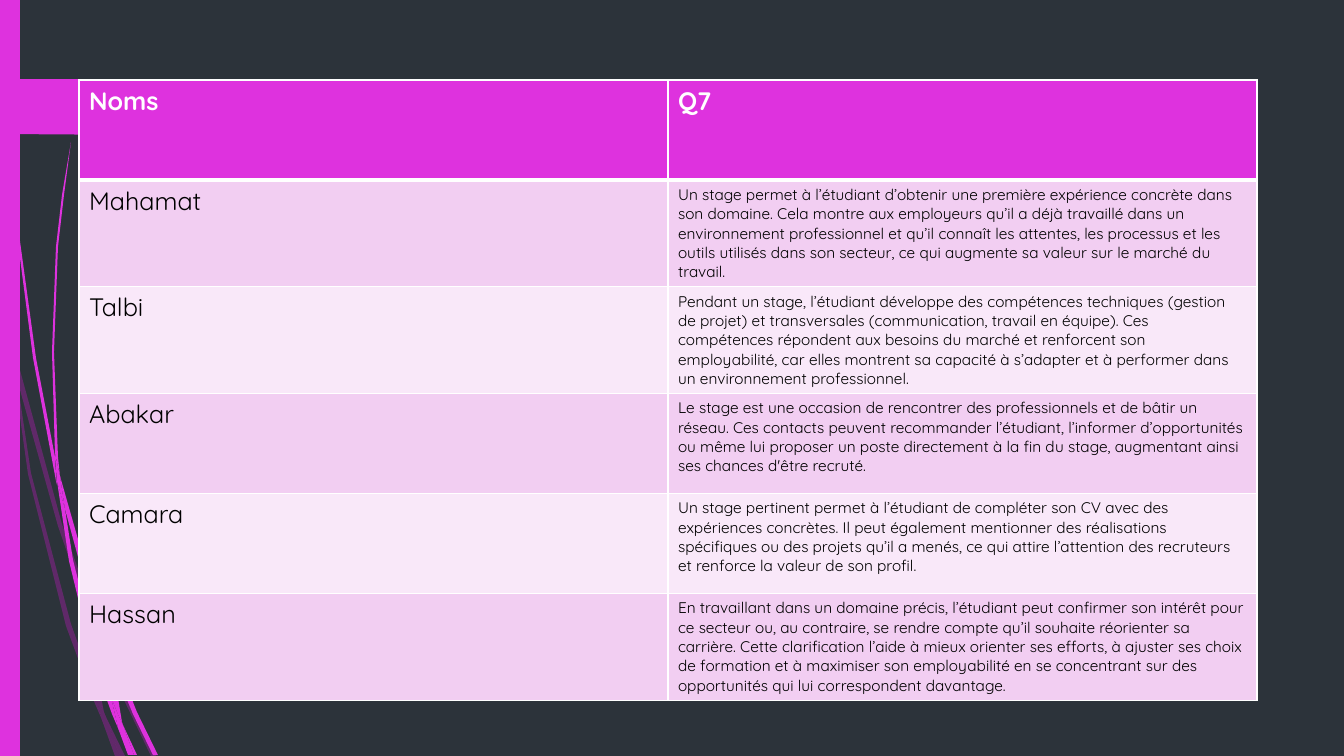
import pptx
import pptx.dml.color
import pptx.enum.shapes
import pptx.oxml
import pptx.oxml.ns
import pptx.util

PX = 12192000 / 1344
FONT = "Quicksand"
COLORS = {
    "background": "2C333A",
    "accent": "DE32DE",
    "shade": "B01CB0",
    "odd_row": "F2CEF2",
    "even_row": "F9E8F9",
    "white": "FFFFFF",
    "black": "000000",
}

SHADED_WISPS = [
    [(11, 353), (9, 325), (0, 284), (0, 301), (10, 347)],
    [(58, 526), (85, 604), (86, 591), (62, 524), (14, 348), (17, 379)],
    [(93, 612), (89, 601), (89, 615), (124, 700), (151, 756), (156, 756), (128, 698)],
    [(120, 756), (125, 756), (106, 717)],
    [(94, 688), (71, 624), (31, 473), (17, 379), (11, 353), (28, 474), (66, 626),
     (93, 699), (102, 720), (100, 713)],
    [(85, 604), (88, 651), (94, 688), (97, 698), (106, 717), (104, 712), (92, 651),
     (89, 615), (89, 613)],
    [(102, 720), (115, 756), (120, 756)],
    [(97, 698), (94, 688), (100, 713), (102, 720), (120, 756), (106, 717)],
]
BRIGHT_WISPS = [
    [(7, 111), (17, 235), (33, 358), (56, 481), (57, 485), (55, 461), (55, 457),
     (36, 358), (19, 234), (8, 110), (5, 48), (4, 0), (3, 0), (4, 48)],
    [(89, 597), (107, 650), (107, 638), (107, 636), (94, 595), (60, 476), (65, 509)],
    [(114, 654), (111, 646), (111, 661), (133, 714), (153, 755), (158, 755), (137, 712)],
    [(111, 697), (99, 662), (73, 560), (65, 509), (57, 481), (69, 561), (94, 664),
     (112, 714), (118, 728), (117, 723)],
    [(60, 476), (58, 457), (54, 352), (58, 247), (64, 195), (71, 142), (62, 195),
     (56, 247), (52, 352), (55, 453)],
    [(134, 755), (137, 755), (123, 725)],
    [(57, 481), (65, 509), (60, 476), (55, 453), (55, 457)],
    [(118, 728), (128, 755), (132, 755)],
    [(107, 650), (111, 697), (117, 712), (123, 725), (122, 722), (112, 661), (110, 656)],
    [(117, 712), (111, 697), (117, 723), (118, 728), (131, 755), (134, 755), (123, 725)],
]
TAG = [(0, 79), (147, 79), (149, 80), (175, 105), (175, 109), (149, 134), (147, 135), (0, 134)]

HEADER = ("Noms", "Q7")
ANSWERS = [
    ("Mahamat", "Un stage permet à l’étudiant d’obtenir une première expérience concrète "
     "dans son domaine. Cela montre aux employeurs qu’il a déjà travaillé dans un "
     "environnement professionnel et qu’il connaît les attentes, les processus et les "
     "outils utilisés dans son secteur, ce qui augmente sa valeur sur le marché du travail."),
    ("Talbi", "Pendant un stage, l’étudiant développe des compétences techniques (gestion de "
     "projet) et transversales (communication, travail en équipe). Ces compétences répondent "
     "aux besoins du marché et renforcent son employabilité, car elles montrent sa capacité à "
     "s’adapter et à performer dans un environnement professionnel."),
    ("Abakar", "Le stage est une occasion de rencontrer des professionnels et de bâtir un "
     "réseau. Ces contacts peuvent recommander l’étudiant, l’informer d’opportunités ou même "
     "lui proposer un poste directement à la fin du stage, augmentant ainsi ses chances "
     "d'être recruté."),
    ("Camara", "Un stage pertinent permet à l’étudiant de compléter son CV avec des "
     "expériences concrètes. Il peut également mentionner des réalisations spécifiques ou des "
     "projets qu’il a menés, ce qui attire l’attention des recruteurs et renforce la valeur "
     "de son profil."),
    ("Hassan", "En travaillant dans un domaine précis, l’étudiant peut confirmer son intérêt "
     "pour ce secteur ou, au contraire, se rendre compte qu’il souhaite réorienter sa "
     "carrière. Cette clarification l’aide à mieux orienter ses efforts, à ajuster ses choix "
     "de formation et à maximiser son employabilité en se concentrant sur des opportunités "
     "qui lui correspondent davantage."),
]
ROW_HEIGHTS = [100, 106, 106, 100, 100, 106]


def emu(px):
    return round(px * PX)


def rgb(name):
    return pptx.dml.color.RGBColor.from_string(COLORS[name])


def paint(shape, color, opacity=100):
    shape.shadow.inherit = False
    shape.fill.solid()
    shape.fill.fore_color.rgb = rgb(color)
    shape.line.fill.background()
    if opacity < 100:
        color_element = shape._element.spPr.find(".//" + pptx.oxml.ns.qn("a:srgbClr"))
        alpha = pptx.oxml.parse_xml(
            f'<a:alpha {pptx.oxml.ns.nsdecls("a")} val="{opacity * 1000}"/>')
        color_element.append(alpha)


def add_outline(page, points, color, opacity=100):
    builder = page.shapes.build_freeform(*points[0], scale=PX)
    builder.add_line_segments(points[1:], close=True)
    paint(builder.convert_to_shape(), color, opacity)


def add_bar(page, left, top, width, height, color):
    kind = pptx.enum.shapes.MSO_SHAPE.RECTANGLE
    bar = page.shapes.add_shape(kind, emu(left), emu(top), emu(width), emu(height))
    paint(bar, color)


def write_text(frame, text, size=18, color="black", bold=False):
    span = frame.paragraphs[0].add_run()
    span.text = text
    span.font.name = FONT
    span.font.size = pptx.util.Pt(size)
    span.font.bold = bold
    span.font.color.rgb = rgb(color)


def set_borders(cell, **widths):
    properties = cell._tc.get_or_add_tcPr()
    for side in "LRTB":
        width = pptx.util.Pt(widths.get(side, 1))
        properties.append(pptx.oxml.parse_xml(
            f'<a:ln{side} {pptx.oxml.ns.nsdecls("a")} w="{width}"><a:solidFill>'
            f'<a:srgbClr val="{COLORS["white"]}"/></a:solidFill></a:ln{side}>'))


def fill_cell(cell, text, fill, borders, **style):
    set_borders(cell, **borders)
    cell.fill.solid()
    cell.fill.fore_color.rgb = rgb(fill)
    write_text(cell.text_frame, text, **style)


def add_answer_table(page):
    frame = page.shapes.add_table(len(ROW_HEIGHTS), len(HEADER), emu(79), emu(80),
                                  emu(1178), emu(sum(ROW_HEIGHTS)))
    table = frame.table
    for column in table.columns:
        column.width = emu(589)
    for row, height in zip(table.rows, ROW_HEIGHTS):
        row.height = emu(height)
    for index, title in enumerate(HEADER):
        fill_cell(table.cell(0, index), title, "accent", {"B": 3}, color="white", bold=True)
    for number, (name, answer) in enumerate(ANSWERS, 1):
        fill = "odd_row" if number % 2 else "even_row"
        borders = {"T": 3} if number == 1 else {}
        fill_cell(table.cell(number, 0), name, fill, borders)
        fill_cell(table.cell(number, 1), answer, fill, borders, size=11)


def main():
    deck = pptx.Presentation()
    deck.slide_width, deck.slide_height = emu(1344), emu(756)
    page = deck.slides.add_slide(deck.slide_layouts[6])
    page.background.fill.solid()
    page.background.fill.fore_color.rgb = rgb("background")
    for wisp in SHADED_WISPS:
        add_outline(page, wisp, "shade", opacity=40)
    for wisp in BRIGHT_WISPS:
        add_outline(page, wisp, "accent")
    add_bar(page, 0, 0, 20, 756, "accent")
    add_outline(page, TAG, "accent")
    add_answer_table(page)
    deck.save("out.pptx")


if __name__ == "__main__":
    main()
